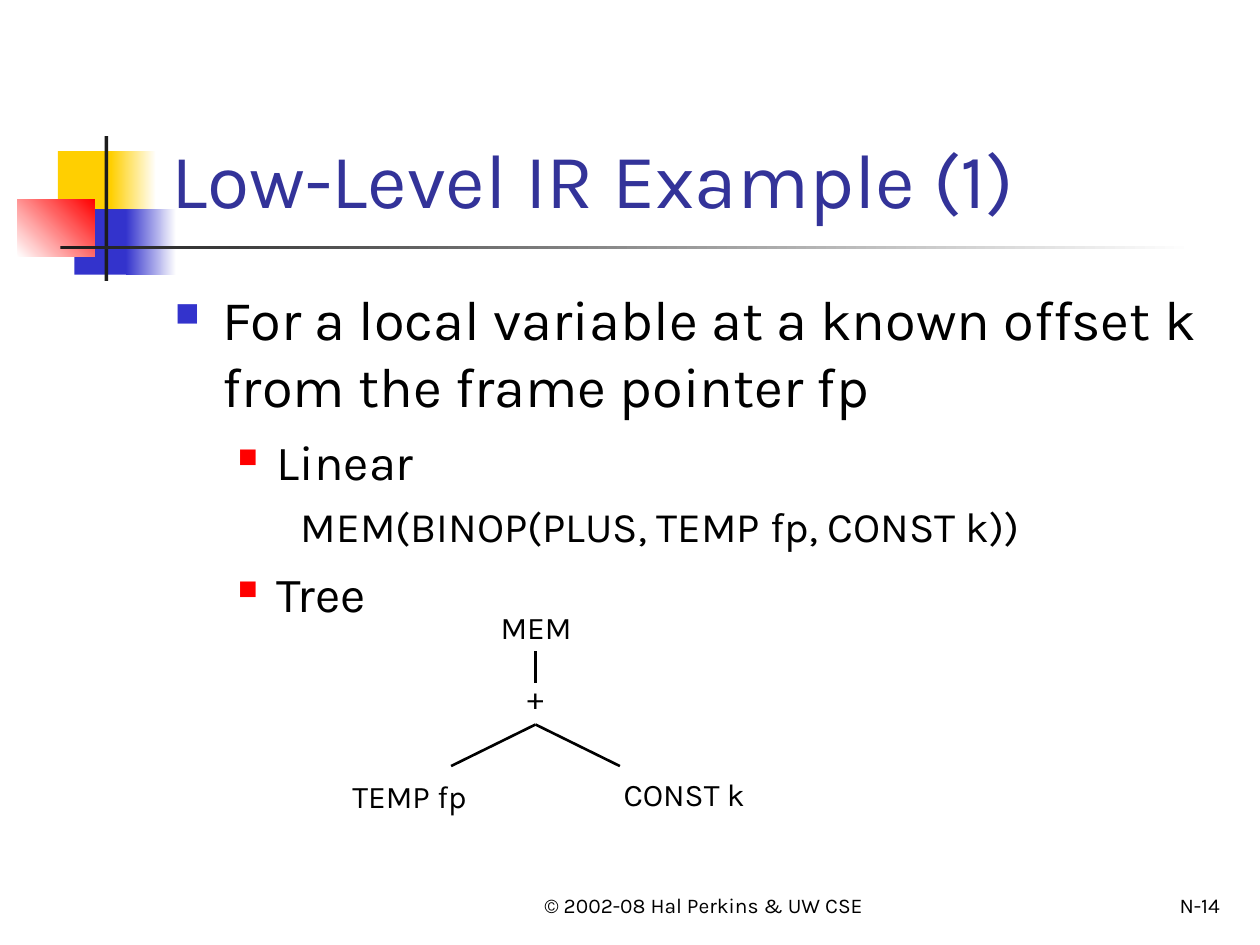
from lxml.etree import SubElement
from pptx import Presentation
from pptx.dml.color import RGBColor
from pptx.enum.shapes import MSO_CONNECTOR, MSO_SHAPE
from pptx.enum.text import MSO_ANCHOR, MSO_AUTO_SIZE, PP_ALIGN
from pptx.oxml.ns import qn
from pptx.util import Pt

PX = 9144
FONT = "Karla"
BLACK = RGBColor(0x00, 0x00, 0x00)
WHITE = RGBColor(0xFF, 0xFF, 0xFF)
DARK = RGBColor(0x1C, 0x1C, 0x1C)
GOLD = RGBColor(0xFF, 0xCF, 0x01)
BLUE = RGBColor(0x33, 0x33, 0xCC)
RED = RGBColor(0xFF, 0x00, 0x00)
NAVY = RGBColor(0x33, 0x33, 0x99)


def scale(*nums):
    """Turn px lengths into EMU."""
    return [num * PX for num in nums]


def style(para, size, color=BLACK, align=PP_ALIGN.LEFT):
    """Format a paragraph and its runs."""
    para.alignment = align
    for run in para.runs:
        run.font.name = FONT
        run.font.size = Pt(size)
        run.font.color.rgb = color


def label(slide, box, text, size, align, anchor=MSO_ANCHOR.TOP, wrap=True):
    """Add a one-line text box."""
    frame = slide.shapes.add_textbox(*scale(*box)).text_frame
    frame.word_wrap = wrap
    frame.vertical_anchor = anchor
    frame.text = text
    style(frame.paragraphs[0], size, align=align)


def block(slide, box, start, end=None, angle=0):
    """Add a plain rectangle, faded when an end colour is given."""
    shape = slide.shapes.add_shape(MSO_SHAPE.RECTANGLE, *scale(*box))
    shape.shadow.inherit = False
    shape.line.fill.background()
    if end is None:
        shape.fill.solid()
        shape.fill.fore_color.rgb = start
        return
    shape.fill.gradient()
    shape.fill.gradient_angle = angle
    for stop, color, place in zip(shape.fill.gradient_stops, (start, end), (0, 1)):
        stop.color.rgb = color
        stop.position = place


def motif(slide, left, top):
    """Draw the coloured squares and the crossed rules."""
    parts = [
        (32, 12, 48, 52, GOLD),
        (74, 12, 36, 52, GOLD, WHITE),
        (45, 58, 46, 52, BLUE),
        (86, 58, 40, 52, BLUE, WHITE),
        (0, 50, 61, 46, WHITE, RED, 45),
        (69, 0, 3, 115, DARK),
        (34, 87, 900, 3, DARK, WHITE),
    ]
    for x, y, wide, high, *paint in parts:
        block(slide, (left + x, top + y, wide, high), *paint)


def heading(slide, box, text):
    """Place and fill the title."""
    title = slide.shapes.title
    title.left, title.top, title.width, title.height = scale(*box)
    frame = title.text_frame
    frame.text = text
    frame.auto_size = MSO_AUTO_SIZE.NONE
    frame.vertical_anchor = MSO_ANCHOR.BOTTOM
    style(frame.paragraphs[0], 44, NAVY)


def indent(para, left, hang, color, ratio):
    """Set a hanging indent and an optional square bullet."""
    props = para._p.get_or_add_pPr()
    props.set("marL", str(left * PX))
    props.set("indent", str(-hang * PX))
    if color is None:
        SubElement(props, qn("a:buNone"))
        return
    paint = SubElement(props, qn("a:buClr"))
    SubElement(paint, qn("a:srgbClr"), val=str(color))
    SubElement(props, qn("a:buSzPct"), val=str(ratio * 1000))
    SubElement(props, qn("a:buChar"), char="■")


def outline(slide, box, items):
    """Write the bulleted text by level."""
    levels = [
        (38, 38, BLUE, 60, 32, 8),
        (81, 31, RED, 55, 28, 7),
        (125, 25, None, 0, 24, 6),
    ]
    frame = slide.shapes.add_textbox(*scale(*box)).text_frame
    frame.word_wrap = True
    for pos, (level, text) in enumerate(items):
        para = frame.add_paragraph() if pos else frame.paragraphs[0]
        para.text = text
        *bullet, size, gap = levels[level]
        indent(para, *bullet)
        para.level = level
        para.space_before = Pt(gap if pos else 0)
        style(para, size)


def edge(slide, *ends):
    """Draw one line of the tree."""
    line = slide.shapes.add_connector(MSO_CONNECTOR.STRAIGHT, *scale(*ends))
    line.line.color.rgb = BLACK
    line.line.width = Pt(1.5)
    SubElement(line._element.spPr, qn("a:effectLst"))


def tree(slide, left, top):
    """Draw the expression tree."""
    nodes = [
        ("MEM", 119, 0, 79),
        ("+", 141, 55, 34),
        ("TEMP fp", 0, 134, 116),
        ("CONST k", 215, 132, 122),
    ]
    for text, x, y, wide in nodes:
        box = (left + x, top + y, wide, 40)
        label(slide, box, text, 18, PP_ALIGN.CENTER, wrap=False)
    stem = left + 158
    edge(slide, stem, top + 39, stem, top + 64)
    for side in (-67, 67):
        edge(slide, stem, top + 97, stem + side, top + 130)


def footer(slide, top):
    """Add the copyright line and the page number."""
    low = MSO_ANCHOR.BOTTOM
    label(slide, (400, top, 317, 50), "© 2002-08 Hal Perkins & UW CSE", 12,
          PP_ALIGN.CENTER, low)
    label(slide, (770, top, 208, 50), "N-14", 12, PP_ALIGN.RIGHT, low)


def main():
    """Build and save the slide."""
    deck = Presentation()
    deck.slide_width, deck.slide_height = scale(1000, 750)
    slide = deck.slides.add_slide(deck.slide_layouts[5])
    motif(slide, 14, 108)
    heading(slide, (126, 23, 852, 160), "Low-Level IR Example (1)")
    outline(slide, (129, 221, 850, 450), [
        (0, "For a local variable at a known offset k from the frame pointer fp"),
        (1, "Linear"),
        (2, "MEM(BINOP(PLUS, TEMP fp, CONST k))"),
        (1, "Tree"),
    ])
    tree(slide, 267, 478)
    footer(slide, 683)
    deck.save("out.pptx")


if __name__ == "__main__":
    main()
